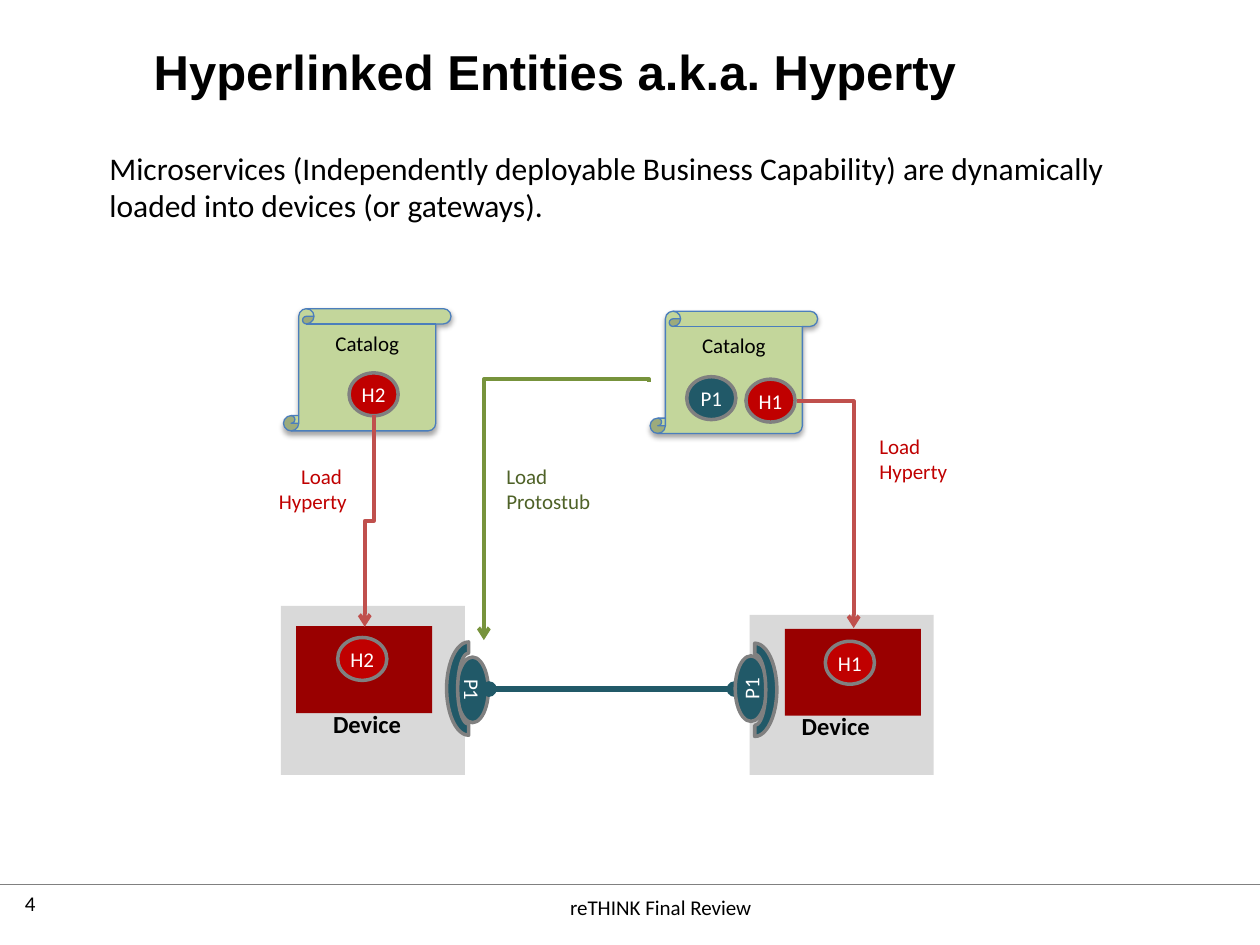
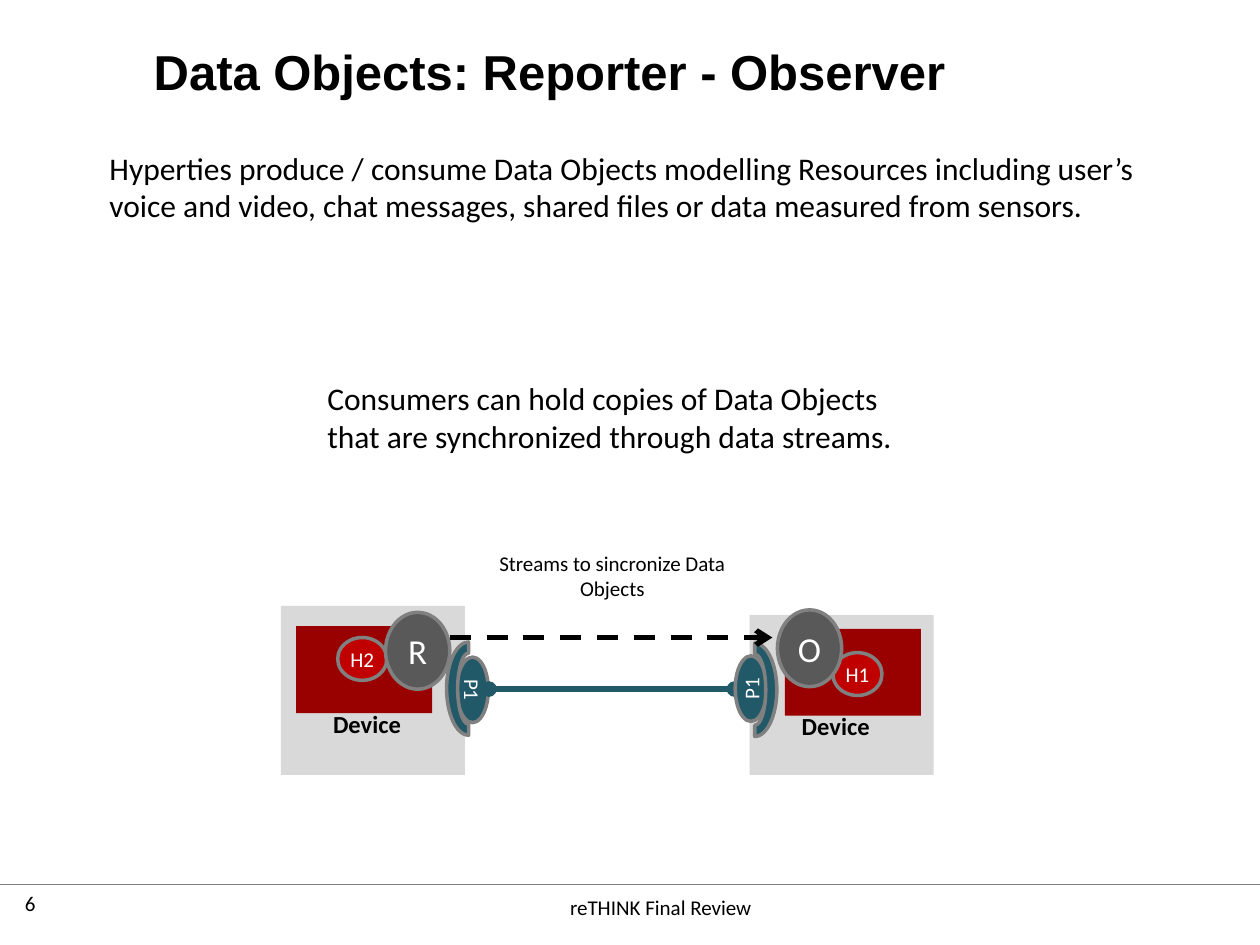
"""Build two slides on hyperlinked entities and their data objects."""
from dataclasses import dataclass

from lxml.etree import SubElement
from pptx import Presentation
from pptx.dml.color import RGBColor
from pptx.enum.dml import MSO_LINE
from pptx.enum.shapes import MSO_CONNECTOR, MSO_SHAPE
from pptx.enum.text import MSO_ANCHOR, MSO_AUTO_SIZE, PP_ALIGN
from pptx.oxml.ns import qn
from pptx.util import Inches, Pt


@dataclass(frozen=True)
class Theme:
    font: str = "Calibri"
    title_font: str = "Arial"
    black: str = "000000"
    white: str = "FFFFFF"
    grey: str = "808080"
    panel: str = "D9D9D9"
    core: str = "990000"
    hyperty: str = "C00000"
    stub: str = "215968"
    data: str = "595959"
    scroll: str = "C3D69B"
    scroll_edge: str = "4B7EBC"
    load_red: str = "C0504D"
    load_green: str = "77933C"
    dark_green: str = "4F6228"
    title: int = 28
    object: int = 20
    body: int = 18
    device: int = 14
    small: int = 12


theme = Theme()
TIGHT = dict(margin_left=0, margin_right=0, margin_top=0, margin_bottom=0,
             vertical_anchor=MSO_ANCHOR.MIDDLE, word_wrap=False)


def add_block(shapes, kind, box, text="", fill=None, edge=None, edge_width=2, rotation=0,
              color=theme.black, size=theme.small, bold=False, align=PP_ALIGN.LEFT, frame=None):
    """Add a preset shape, or a text box when kind is None."""
    place = [Inches(v) for v in box]
    if kind is None:
        block = shapes.add_textbox(*place)
    else:
        block = shapes.add_shape(kind, *place)
        block.shadow.inherit = False
        block.rotation = rotation
        block.fill.solid()
        block.fill.fore_color.rgb = RGBColor.from_string(fill)
        if edge:
            block.line.color.rgb = RGBColor.from_string(edge)
            block.line.width = Pt(edge_width)
        else:
            block.line.fill.background()
    if text:
        layout = dict(word_wrap=True, vertical_anchor=MSO_ANCHOR.TOP) | (frame or {})
        for name, value in layout.items():
            setattr(block.text_frame, name, value)
        paragraph = block.text_frame.paragraphs[0]
        paragraph.text = text
        paragraph.alignment = align
        letters = dict(name=theme.font, size=Pt(size), bold=bold)
        for name, value in letters.items():
            setattr(paragraph.font, name, value)
        paragraph.font.color.rgb = RGBColor.from_string(color)
    return block


def add_link(slide, box, color, width, head=None, tail=None, bend=None, rotation=0, flip=None):
    """Add a straight line, or an elbow whose bend is a share of its length."""
    left, top, wide, high = box
    kind = MSO_CONNECTOR.STRAIGHT if bend is None else MSO_CONNECTOR.ELBOW
    link = slide.shapes.add_connector(
        kind, *(Inches(v) for v in (left, top, left + wide, top + high)))
    link.line.color.rgb = RGBColor.from_string(color)
    link.line.width = Pt(width)
    properties = link._element.spPr
    frame = properties.find(qn("a:xfrm"))
    if rotation:
        frame.set("rot", str(rotation * 60000))
    if flip:
        frame.set(flip, "1")
    if bend is not None:
        guides = properties.find(qn("a:prstGeom")).get_or_add_avLst()
        SubElement(guides, qn("a:gd"), name="adj1", fmla=f"val {round(bend * 100000)}")
    for tag, end in (("a:headEnd", head), ("a:tailEnd", tail)):
        if end:
            SubElement(link.line._get_or_add_ln(), qn(tag), type=end)
    SubElement(properties, qn("a:effectLst"))
    return link


presentation = Presentation()
presentation.slide_width = Inches(10)
presentation.slide_height = Inches(7.5)

HYPERTY = dict(fill=theme.hyperty, edge=theme.grey, color=theme.white,
               align=PP_ALIGN.CENTER, frame=TIGHT)
STUB = HYPERTY | dict(fill=theme.stub)
DATA = HYPERTY | dict(fill=theme.data, size=theme.object)
BADGE = (0.39, 0.34)

devices = [
    dict(hyperty="H2", panel=(2.23, 4.81, 1.46, 1.34), core=(2.35, 4.97), label=(1.96, 5.58),
         stub=(3.49, 5.35), arc=(3.35, 5.29), turn=90),
    dict(hyperty="H1", panel=(5.95, 4.88, 1.46, 1.27), core=(6.23, 4.99), label=(5.68, 5.59),
         stub=(5.7, 5.34), arc=(5.62, 5.3), turn=270),
]
pages = [
    ("4", "Hyperlinked Entities a.k.a. Hyperty",
     "Microservices (Independently deployable Business Capability) are dynamically "
     "loaded into devices (or gateways).",
     8.67, {"H2": (2.68, 5.06), "H1": (6.55, 5.09)}),
    ("6", "Data Objects: Reporter - Observer",
     "Hyperties produce / consume Data Objects modelling Resources including user’s "
     "voice and video, chat messages, shared files or data measured from sensors.",
     8.75, {"H2": (2.68, 5.06), "H1": (6.61, 5.18)}),
]

slides = []
for number, heading, statement, statement_width, hyperties in pages:
    slide = presentation.slides.add_slide(presentation.slide_layouts[5])
    slides.append(slide)

    title = slide.shapes.title
    title_place = dict(left=1.22, top=0.29, width=7.45, height=0.66)
    for name, value in title_place.items():
        setattr(title, name, Inches(value))
    title.text = heading
    title_frame = TIGHT | dict(margin_top=Inches(0.04), vertical_anchor=MSO_ANCHOR.TOP,
                               word_wrap=True, auto_size=MSO_AUTO_SIZE.NONE)
    for name, value in title_frame.items():
        setattr(title.text_frame, name, value)
    heading_line = title.text_frame.paragraphs[0]
    heading_line.alignment = PP_ALIGN.LEFT
    heading_line.space_before = Pt(0)
    title_letters = dict(name=theme.title_font, size=Pt(theme.title), bold=True)
    for name, value in title_letters.items():
        setattr(heading_line.font, name, value)
    heading_line.font.color.rgb = RGBColor.from_string(theme.black)

    add_block(slide.shapes, None, (0.1, 7.02, 0.8, 0.4), number)
    add_link(slide, (0, 7.02, 10, 0), theme.grey, 0.75)
    add_block(slide.shapes, None, (0.61, 7, 9.27, 0.4), "reTHINK Final Review",
              align=PP_ALIGN.CENTER, frame=dict(vertical_anchor=MSO_ANCHOR.MIDDLE))
    add_block(slide.shapes, None, (0.77, 1.13, statement_width, 0.71), statement, size=theme.body)

    for device in devices:
        add_block(slide.shapes, MSO_SHAPE.RECTANGLE, device["panel"], fill=theme.panel)
        add_block(slide.shapes, None, (*device["label"], 1.95, 0.34), "Device ",
                  size=theme.device, bold=True, align=PP_ALIGN.CENTER)
        protostub = slide.shapes.add_group_shape().shapes
        add_block(protostub, MSO_SHAPE.OVAL, (*device["stub"], 0.52, 0.25), "P1",
                  rotation=device["turn"], **STUB)
        add_block(protostub, MSO_SHAPE.BLOCK_ARC, (*device["arc"], 0.74, 0.35),
                  fill=theme.stub, edge=theme.grey, rotation=360 - device["turn"])
        add_block(slide.shapes, MSO_SHAPE.RECTANGLE, (*device["core"], 1.08, 0.69),
                  fill=theme.core)
        name = device["hyperty"]
        add_block(slide.shapes, MSO_SHAPE.OVAL, (*hyperties[name], *BADGE), name, **HYPERTY)
        if device is devices[0]:
            add_link(slide, (3.88, 5.47, 1.95, 0), theme.stub, 3, "oval", "oval",
                     bend=0.5, rotation=180, flip="flipV")

hyperty_slide, data_slide = slides

catalogs = [
    ((2.25, 2.45), [("H2", (2.77, 2.96), HYPERTY)]),
    ((5.16, 2.47), [("P1", (5.45, 2.99), STUB), ("H1", (5.92, 3.01), HYPERTY)]),
]
for corner, entries in catalogs:
    catalog = hyperty_slide.shapes.add_group_shape().shapes
    scroll = add_block(catalog, MSO_SHAPE.VERTICAL_SCROLL, (*corner, 1.33, 0.97), "Catalog",
                       fill=theme.scroll, edge=theme.scroll_edge, edge_width=0.75,
                       align=PP_ALIGN.CENTER)
    effects = scroll._element.spPr.find(qn("a:effectLst"))
    shadow = SubElement(effects, qn("a:outerShdw"), blurRad=str(Pt(3.1)), dist=str(Pt(1.8)),
                        dir="5400000", rotWithShape="0")
    shade = SubElement(shadow, qn("a:srgbClr"), val=theme.black)
    SubElement(shade, qn("a:alpha"), val="35000")
    for name, spot, look in entries:
        add_block(catalog, MSO_SHAPE.OVAL, (*spot, *BADGE), name, **look)

loads = [
    ((5.65, 3.86, 1.8, 0.45), theme.load_red, 0, 270, "flipH"),
    ((2.09, 4.1, 1.68, 0.07), theme.load_red, 0.5, 90, None),
    ((3.47, 3.4, 2.05, 1.31), theme.load_green, -0.01, 90, None),
]
for box, color, bend, rotation, flip in loads:
    add_link(hyperty_slide, box, color, 2.25, tail="arrow", bend=bend, rotation=rotation, flip=flip)

load_labels = [
    ("Load \vHyperty", (1.87, 3.63), theme.hyperty, PP_ALIGN.RIGHT),
    ("Load \vProtostub", (3.92, 3.63), theme.dark_green, PP_ALIGN.LEFT),
    ("Load \vHyperty", (6.88, 3.39), theme.hyperty, PP_ALIGN.LEFT),
]
for label, corner, color, align in load_labels:
    add_block(hyperty_slide.shapes, None, (*corner, 0.98, 0.5), label, color=color, align=align)

for role, corner in (("R", (3.06, 4.86)), ("O", (6.17, 4.84))):
    add_block(data_slide.shapes, MSO_SHAPE.OVAL, (*corner, 0.51, 0.61), role, **DATA)
stream = add_link(data_slide, (3.57, 5.06, 2.56, 0), theme.black, 3, tail="arrow")
stream.line.dash_style = MSO_LINE.DASH
add_block(data_slide.shapes, None, (3.7, 4.32, 2.32, 0.5), "Streams to sincronize Data Objects",
          align=PP_ALIGN.CENTER)
add_block(data_slide.shapes, None, (2.5, 2.96, 5, 0.71),
          "Consumers can hold copies of Data Objects that are synchronized through data streams.",
          size=theme.body)

presentation.save("out.pptx")
